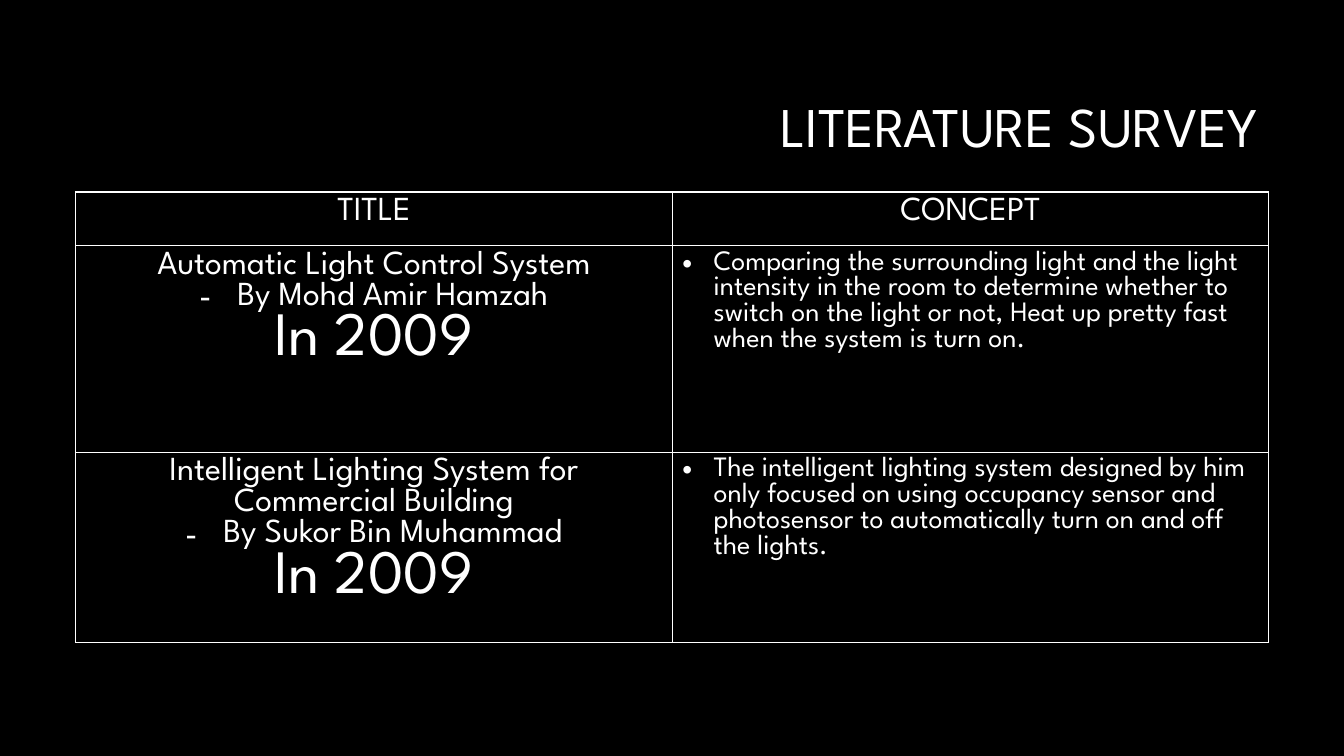
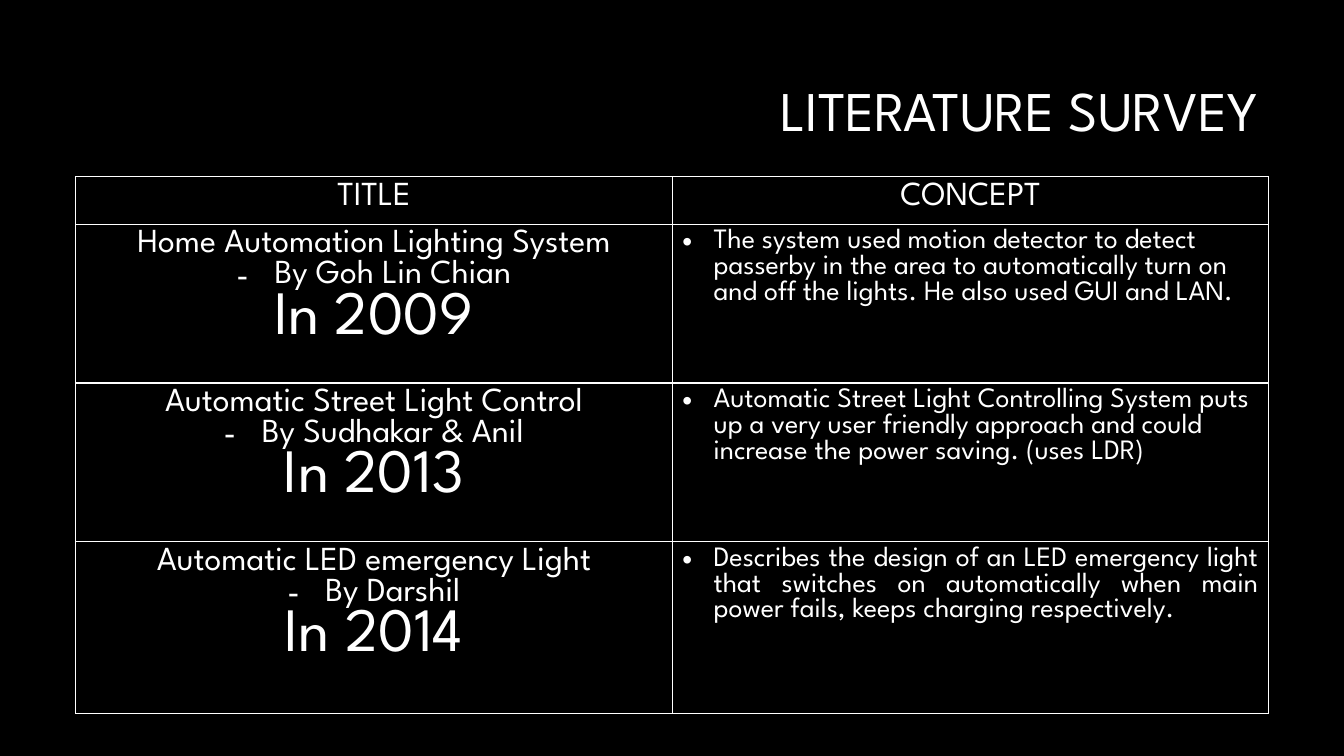
from lxml.etree import SubElement
from pptx import Presentation
from pptx.dml.color import RGBColor
from pptx.enum.text import MSO_ANCHOR, PP_ALIGN
from pptx.oxml.ns import qn
from pptx.util import Cm, Pt

BLACK = RGBColor(0x00, 0x00, 0x00)
WHITE = RGBColor(0xFF, 0xFF, 0xFF)
FONT = "League Spartan"
LINE_PITCH = 0.92
LEFT, WIDTH = Cm(1.91), Cm(30.06)
TITLE_LEFT, TITLE_WIDTH, TITLE_HEIGHT = Cm(8.03), Cm(23.93), Cm(3.58)
TABLE_DROP = Cm(3.37)
DASH_INDENT, DOT_INDENT = Cm(0.95), Cm(0.79)
HEADERS = ("TITLE", "CONCEPT")

SURVEYS = [
    (Cm(1.47), (Cm(1.35), Cm(5.21), Cm(4.8)), [
        ("Automatic Light Control System", "By Mohd Amir Hamzah", "In 2009",
         "Comparing the surrounding light and the light intensity in the room to "
         "determine whether to switch on the light or not, Heat up pretty fast "
         "when the system is turn on.", PP_ALIGN.LEFT),
        ("Intelligent Lighting System for Commercial Building",
         "By Sukor Bin Muhammad", "In 2009",
         "The intelligent lighting system designed by him only focused on using "
         "occupancy sensor and photosensor to automatically turn on and off the "
         "lights.", PP_ALIGN.LEFT),
    ]),
    (Cm(1.08), (Cm(1.2), Cm(4), Cm(4), Cm(4.32)), [
        ("Home Automation Lighting System", "By Goh Lin Chian", "In 2009",
         "The system used motion detector to detect passerby in the area to "
         "automatically turn on and off the lights. He also used GUI and LAN.",
         PP_ALIGN.LEFT),
        ("Automatic Street Light Control", "By Sudhakar & Anil", "In 2013",
         "Automatic Street Light Controlling System puts up a very user friendly "
         "approach and could increase the power saving. (uses LDR)",
         PP_ALIGN.LEFT),
        ("Automatic LED emergency Light", "By Darshil", "In 2014",
         "Describes the design of an LED emergency light that switches on "
         "automatically when main power fails, keeps charging respectively.",
         PP_ALIGN.JUSTIFY),
    ]),
]


def add_run(p, text, size, align=PP_ALIGN.CENTER):
    """Add one white run to a paragraph and align the paragraph."""
    p.alignment = align
    r = p.add_run()
    r.text = text
    r.font.name = FONT
    r.font.size = Pt(size)
    r.font.color.rgb = WHITE


def add_cell_run(p, text, size, align=PP_ALIGN.CENTER):
    """Add a run to a table paragraph with a fixed line pitch."""
    p.line_spacing = Pt(size * LINE_PITCH)
    add_run(p, text, size, align)


def set_bullet(p, char, indent):
    """Give a paragraph a bullet character with a hanging indent."""
    pPr = p._p.get_or_add_pPr()
    pPr.set("marL", str(indent))
    pPr.set("indent", str(-indent))
    SubElement(pPr, qn("a:buFont"), typeface="Arial")
    SubElement(pPr, qn("a:buChar"), char=char)


def style_cell(cell):
    """Give a cell white borders and no fill."""
    tcPr = cell._tc.get_or_add_tcPr()
    for side in ("lnL", "lnR", "lnT", "lnB"):
        ln = SubElement(tcPr, qn(f"a:{side}"), w=str(Pt(1)))
        fill = SubElement(ln, qn("a:solidFill"))
        SubElement(fill, qn("a:srgbClr"), val=str(WHITE))
    cell.fill.background()


def add_title(s, left, top, width, height):
    """Place the right-aligned slide title in its box."""
    tf = s.shapes.add_textbox(left, top, width, height).text_frame
    tf.word_wrap = True
    tf.vertical_anchor = MSO_ANCHOR.MIDDLE
    p = tf.paragraphs[0]
    p.line_spacing = 0.9
    add_run(p, "LITERATURE SURVEY", 40, PP_ALIGN.RIGHT)


def fill_work(cell, name, author, year):
    """Write the name, author and year of a surveyed work."""
    tf = cell.text_frame
    add_cell_run(tf.paragraphs[0], name, 24)
    p = tf.add_paragraph()
    set_bullet(p, "-", DASH_INDENT)
    add_cell_run(p, author, 24)
    add_cell_run(tf.add_paragraph(), year, 44)


def add_survey_table(s, left, top, width, heights, works):
    """Place the table of surveyed works with the given row heights."""
    table = s.shapes.add_table(len(heights), len(HEADERS), left, top, width,
                               sum(heights)).table
    table.first_row = table.horz_banding = False
    for row, height in zip(table.rows, heights):
        row.height = height
    for cell in table.iter_cells():
        style_cell(cell)
    for col, header in enumerate(HEADERS):
        add_cell_run(table.cell(0, col).text_frame.paragraphs[0], header, 24)
    for row, (name, author, year, concept, align) in enumerate(works, 1):
        fill_work(table.cell(row, 0), name, author, year)
        p = table.cell(row, 1).text_frame.paragraphs[0]
        set_bullet(p, "•", DOT_INDENT)
        add_cell_run(p, concept, 20, align)


def add_survey_slide(prs, top, heights, works):
    """Build one black survey slide whose content starts at top."""
    s = prs.slides.add_slide(prs.slide_layouts[6])
    s.background.fill.solid()
    s.background.fill.fore_color.rgb = BLACK
    add_title(s, TITLE_LEFT, top, TITLE_WIDTH, TITLE_HEIGHT)
    add_survey_table(s, LEFT, top + TABLE_DROP, WIDTH, heights, works)


def main():
    """Build the presentation and save it."""
    prs = Presentation()
    prs.slide_width, prs.slide_height = Cm(33.87), Cm(19.05)
    for top, heights, works in SURVEYS:
        add_survey_slide(prs, top, heights, works)
    prs.save("out.pptx")


if __name__ == "__main__":
    main()
